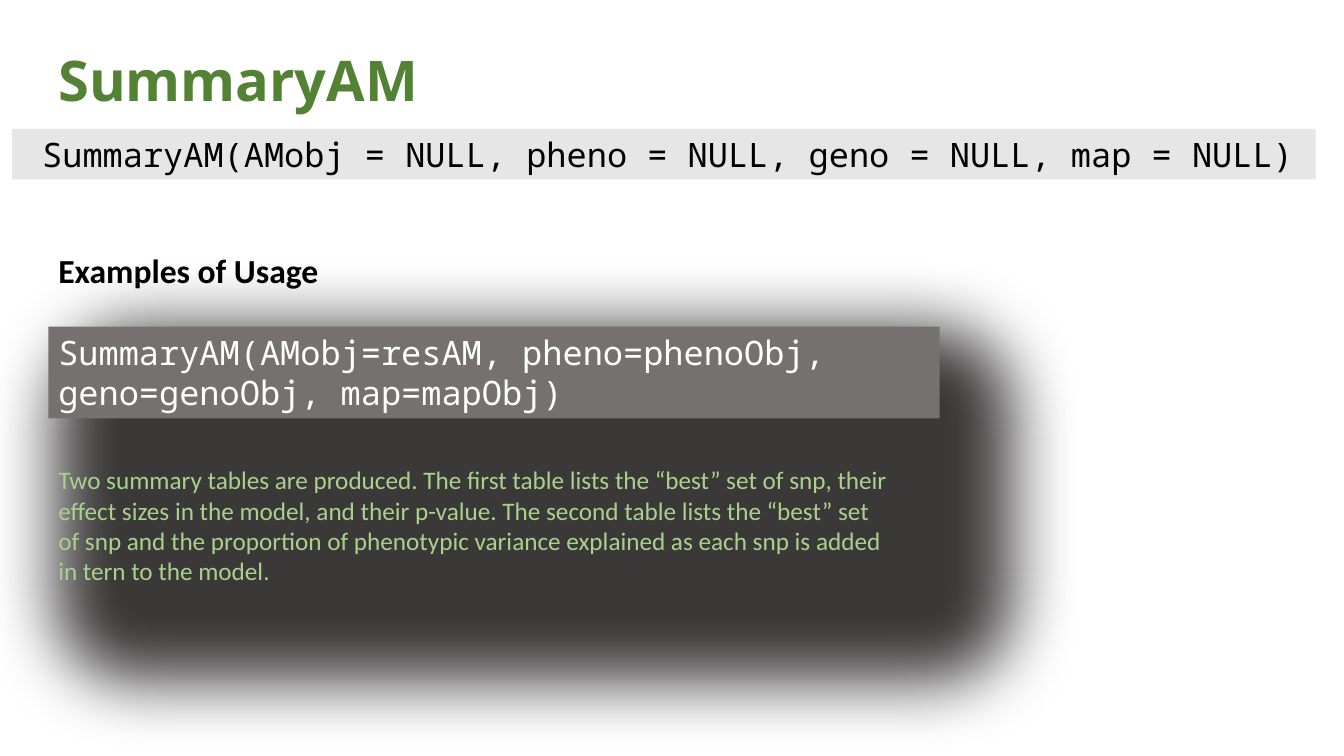
import pptx
import pptx.util
import pptx.dml.color
import pptx.enum.shapes
import pptx.enum.text
import pptx.oxml.ns
import lxml.etree

Inches = pptx.util.Inches


def color(value):
    return pptx.dml.color.RGBColor.from_string(value)


prs = pptx.Presentation()
prs.slide_width, prs.slide_height = Inches(13.33), Inches(7.5)
s = prs.slides.add_slide(prs.slide_layouts[6])

panel = s.shapes.add_shape(
    pptx.enum.shapes.MSO_SHAPE.ROUNDED_RECTANGLE,
    Inches(-0.13), Inches(2.57), Inches(10.85), Inches(4.87))
panel.shadow.inherit = False
panel.fill.solid()
panel.fill.fore_color.rgb = color("3B3838")
panel.line.color.rgb = color("325491")
panel.line.width = pptx.util.Pt(1)
effects = panel._element.spPr.find(pptx.oxml.ns.qn("a:effectLst"))
soft_edge = lxml.etree.SubElement(effects, pptx.oxml.ns.qn("a:softEdge"))
soft_edge.set("rad", "635000")

mono = "Noto Sans Mono"
texts = [
    ("SummaryAM", 0.48, 0.4, 4.17, 0.77, 40, "Open Sans", "548235", True, None, False),
    ("SummaryAM(AMobj=resAM, pheno=phenoObj, geno=genoObj, map=mapObj)",
     0.48, 3.24, 8.84, 0.91, 24, mono, "FFFFFF", False, "767171", True),
    (" SummaryAM(AMobj = NULL, pheno = NULL, geno = NULL, map = NULL)",
     0.12, 1.28, 12.93, 0.5, 24, mono, "000000", False, "E7E6E6", False),
    ("Examples of Usage", 0.48, 2.43, 2.82, 0.5, 24, "Calibri", "000000", True, None, False),
    ("Two summary tables are produced. The first table lists the “best” set of snp, "
     "their effect sizes in the model, and their p-value. The second table lists the "
     "“best” set of snp and the proportion of phenotypic variance explained as each "
     "snp is added in tern to the model.",
     0.48, 4.56, 8.47, 2.22, 18, "Calibri", "A9D18E", False, None, True),
]
for text, x, y, w, h, size, font, ink, bold, fill, wrap in texts:
    sp = s.shapes.add_textbox(Inches(x), Inches(y), Inches(w), Inches(h))
    if fill:
        sp.fill.solid()
        sp.fill.fore_color.rgb = color(fill)
    tf = sp.text_frame
    tf.text = text
    tf.word_wrap = wrap
    tf.auto_size = pptx.enum.text.MSO_AUTO_SIZE.SHAPE_TO_FIT_TEXT
    r = tf.paragraphs[0].runs[0]
    r.font.size = pptx.util.Pt(size)
    r.font.name = font
    r.font.bold = bold
    r.font.color.rgb = color(ink)

prs.save("out.pptx")
